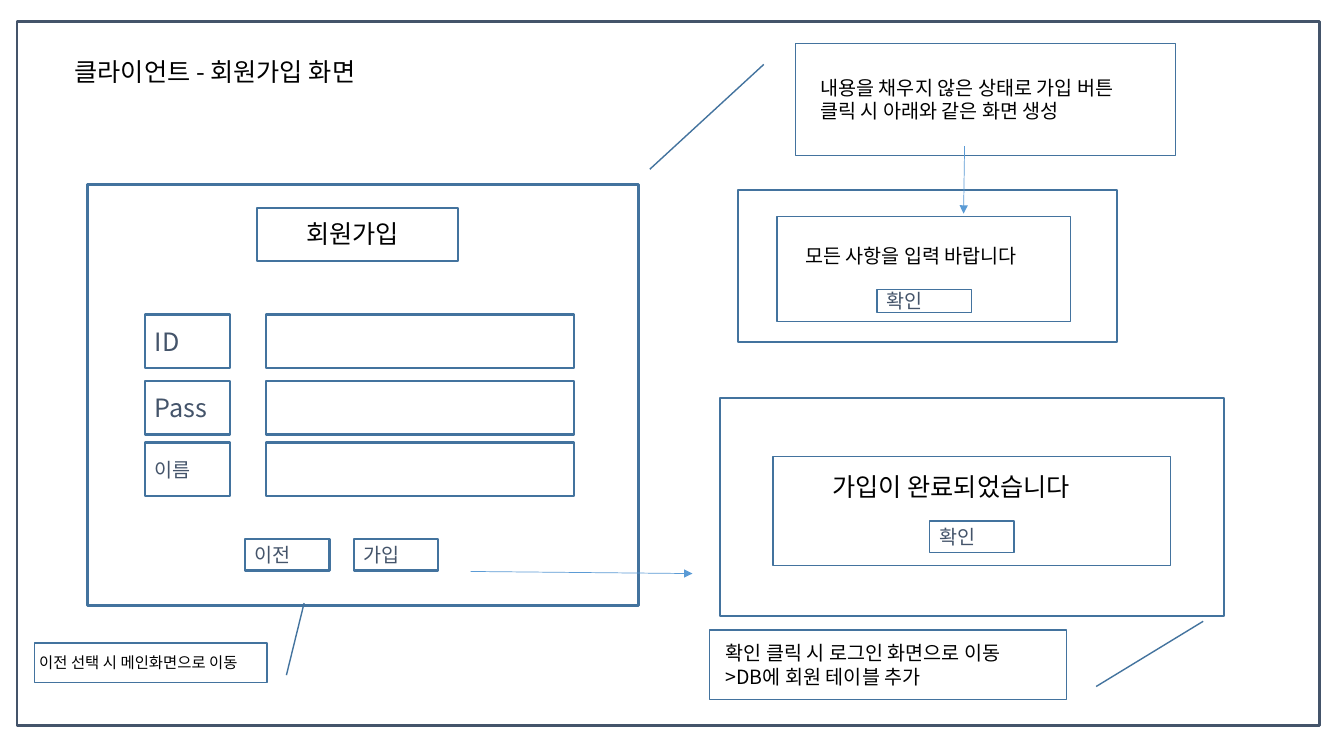
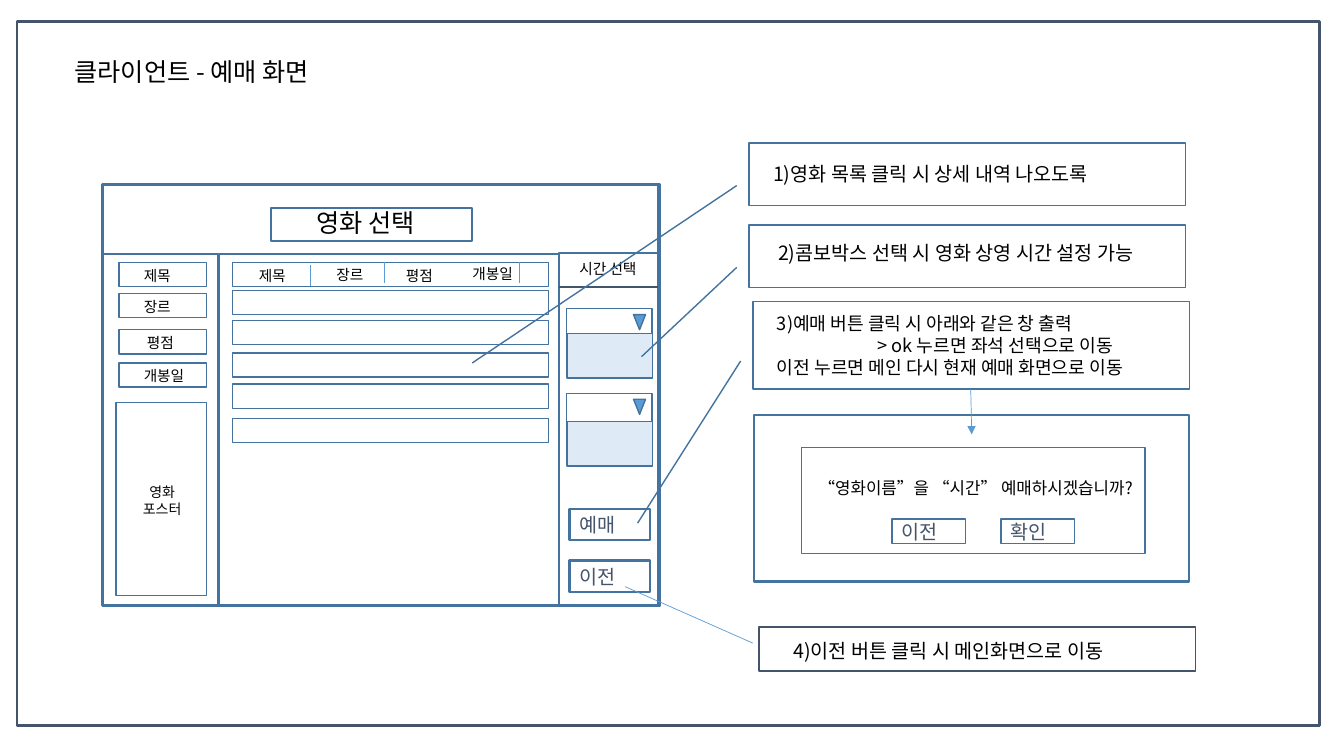
import pptx
import pptx.util
import pptx.dml.color
import pptx.enum.shapes
import pptx.enum.text
import pptx.oxml.ns
from lxml import etree

Pt = pptx.util.Pt
RGB = pptx.dml.color.RGBColor
KIND = pptx.enum.shapes.MSO_SHAPE
ALIGN = pptx.enum.text.PP_ALIGN
FIT = pptx.enum.text.MSO_AUTO_SIZE
qn = pptx.oxml.ns.qn

DARK = RGB(0x44, 0x54, 0x6A)
EDGE = RGB(0x43, 0x73, 0x9E)
BLUE = RGB(0x5B, 0x9B, 0xD5)
PALE = RGB(0xDE, 0xEB, 0xF7)
BLACK = RGB(0, 0, 0)
FONT = "Noto Sans CJK KR"
TITLE = (46, 36.7, 341.3, 28.8)
FRAME = (12.2, 15.1, 930.2, 503.3)


def place(box, left, top, width, height):
    """Move a part from the corner of its box to the slide."""
    return box[0] + left, box[1] + top, width, height


def style(frame, size, color):
    """Format every run of a text frame."""
    for para in frame.paragraphs:
        for run in para.runs:
            run.font.size = Pt(size)
            run.font.color.rgb = color
            run.font.name = FONT
            east = etree.SubElement(run._r.get_or_add_rPr(), qn("a:ea"))
            east.set("typeface", FONT)


def rect(slide, box, weight=1, color=EDGE, fill=None, kind=KIND.RECTANGLE):
    """Draw an outlined shape."""
    shape = slide.shapes.add_shape(kind, *map(Pt, box))
    shape.shadow.inherit = False
    if fill is None:
        shape.fill.background()
    else:
        shape.fill.solid()
        shape.fill.fore_color.rgb = fill
    shape.line.color.rgb = color
    shape.line.width = Pt(weight)
    return shape


def button(slide, box, text, weight=1.5, size=14):
    """Draw a box with a centred label."""
    frame = rect(slide, box, weight).text_frame
    frame.text = text
    style(frame, size, DARK)


def write(slide, box, text, size, wrap=True, align=ALIGN.LEFT):
    """Add a text box."""
    frame = slide.shapes.add_textbox(*map(Pt, box)).text_frame
    frame.word_wrap = wrap
    frame.auto_size = FIT.SHAPE_TO_FIT_TEXT
    frame.text = text
    for para in frame.paragraphs:
        para.alignment = align
    style(frame, size, BLACK)
    return frame


def line(slide, start, end, color=BLUE, weight=0.5, arrow=False):
    """Draw a straight line, with an arrowhead if asked."""
    kind = pptx.enum.shapes.MSO_CONNECTOR.STRAIGHT
    wire = slide.shapes.add_connector(kind, *map(Pt, start + end))
    wire.line.color.rgb = color
    wire.line.width = Pt(weight)
    if arrow:
        head = etree.SubElement(wire.line._get_or_add_ln(), qn("a:tailEnd"))
        head.set("type", "triangle")
    etree.SubElement(wire._element.spPr, qn("a:effectLst"))


def note(slide, box, adjust, part, text, size=14, turn=0):
    """Draw a callout and its text."""
    shape = rect(slide, box, kind=KIND.LINE_CALLOUT_1)
    for index, value in enumerate(adjust):
        shape.adjustments[index] = value
    shape.rotation = turn
    return write(slide, place(box, *part), text, size)


def dialog(slide, box, inner, part, text, size, buttons, wrap=False):
    """Draw a window with a message and its buttons."""
    rect(slide, box, 1.5)
    rect(slide, place(box, *inner))
    write(slide, place(box, *part), text, size, wrap)
    for label, spot in buttons:
        button(slide, place(box, *spot), label, 1)


def start(deck, title):
    """Add a framed slide with its title."""
    slide = deck.slides.add_slide(deck.slide_layouts[5])
    head = slide.shapes.title
    head.left, head.top, head.width, head.height = map(Pt, TITLE)
    frame = head.text_frame
    frame.word_wrap = True
    frame.auto_size = FIT.NONE
    frame.vertical_anchor = pptx.enum.text.MSO_ANCHOR.TOP
    frame.text = title
    frame.paragraphs[0].alignment = ALIGN.LEFT
    style(frame, 18, BLACK)
    rect(slide, FRAME, 2, DARK)
    return slide


def form(slide, box):
    """Draw the sign-up form."""
    rect(slide, box, 2.25)
    rect(slide, place(box, 121, 16.6, 143.3, 38.2), 1.5)
    write(slide, place(box, 149, 20.9, 87.1, 28.8), "회원가입", 18, False)
    rows = (("ID", 92.9, 18), ("Pass", 140.4, 18), ("이름", 184.3, 14))
    for label, top, size in rows:
        button(slide, place(box, 41, top, 60.5, 38.2), label, size=size)
        rect(slide, place(box, 127.4, top, 220.3, 38.2), 1.5)
    for label, left in (("이전", 112.3), ("가입", 190)):
        button(slide, place(box, left, 253.4, 60.5, 22.3), label)


def side(slide, box):
    """Draw the details of the chosen film."""
    rect(slide, box, 1.5)
    tags = (("제목", 5.8, 22.3), ("장르", 28.1, 22.3),
            ("평점", 54, 24.5), ("개봉일", 77.8, 22.3))
    for label, top, left in tags:
        rect(slide, place(box, 11.5, top, 62.6, 17.3))
        write(slide, place(box, left, top - 0.5, 62.6, 20), label, 10.5)
    rect(slide, place(box, 9.4, 105.8, 64.8, 138.2))
    write(slide, place(box, 12.2, 160.6, 60.5, 31), "영화\n포스터", 10,
          align=ALIGN.CENTER)


def films(slide, box):
    """Draw the film list with its column heads."""
    rect(slide, box, 1.5)
    for top in (5.8, 25.9, 47.5, 70.6, 92.9, 117.4):
        rect(slide, place(box, 9.7, top, 226.1, 17.3))
    heads = (("제목", 21.6, 5.8), ("장르", 77, 5),
             ("평점", 126.7, 5.8), ("개봉일", 174.2, 4.3))
    for label, left, top in heads:
        write(slide, place(box, left, top, 62.6, 20), label, 10.5)
    for left, top in ((65.5, 7.9), (118.1, 5.8), (214.6, 5.8)):
        x, y, _, tall = place(box, left, top, 0, 15.1)
        line(slide, (x, y), (x, y + tall))


def combo(slide, box, drop):
    """Draw an open combo box whose list hangs at the given depth."""
    rect(slide, box)
    mark = rect(slide, place(box, 47.9, 4.3, 8.6, 10.8), fill=BLUE,
                kind=KIND.ISOSCELES_TRIANGLE)
    mark.rotation = 180
    rect(slide, place(box, 0.4, drop, 61.2, 31.7), fill=PALE)


def times(slide, box):
    """Draw the time panel with its combo boxes and buttons."""
    rect(slide, box, 1.5)
    x, y, wide, _ = box
    line(slide, (x, y + 24.5), (x + wide, y + 24.5), DARK, 1.5)
    write(slide, place(box, 7.2, 1.4, 72, 20), "시간 선택", 10.5)
    for top, drop in ((39.6, 18), (100.1, 20.2)):
        combo(slide, place(box, 5, top, 61.2, 20.2), drop)
    for label, top in (("예매", 182.9), ("이전", 219.6)):
        button(slide, place(box, 7.2, top, 57.6, 22.3), label)


def picker(slide, box):
    """Draw the film booking window."""
    rect(slide, box, 2.25)
    rect(slide, place(box, 120.2, 16.6, 143.3, 23.8), 1.5)
    write(slide, place(box, 145.4, 13, 93.6, 28.8), "영화 선택", 18, False)
    side(slide, place(box, 0, 49.7, 82.1, 251.3))
    films(slide, place(box, 82.8, 49.7, 243.4, 251.3))
    times(slide, place(box, 326.2, 49, 70.6, 251.3))


def signup(deck):
    """Build the sign-up slide."""
    slide = start(deck, "클라이언트 - 회원가입 화면")
    form(slide, (62.6, 131.8, 393.8, 301))
    dialog(slide, (514.1, 284.4, 360, 155.5), (38.2, 41.8, 283.7, 77.8),
           (73.4, 49, 203, 28.8), "가입이 완료되었습니다", 18,
           [("확인", (149.8, 87.8, 60.5, 22.3))])
    dialog(slide, (527, 135.4, 270.7, 108.7), (28.1, 19.4, 209.5, 74.9),
           (41, 35.3, 185, 24.5), "모든 사항을 입력 바랍니다", 14,
           [("확인", (99.4, 71.3, 67.7, 16.6))])
    slant = (0.188, -0.083, 1.125, -0.383)
    note(slide, (24.5, 459.4, 166.3, 28.1), (0.188, -0.083, 2.02, -0.159),
         (-3.6, 3.6, 183.6, 20.9), "이전 선택 시 메인화면으로 이동", 11, 180)
    note(slide, (506.9, 450, 254.9, 49.7), slant, (4.3, 4.3, 257.8, 40.3),
         "확인 클릭 시 로그인 화면으로 이동\n>DB에 회원 테이블 추가", turn=180)
    note(slide, (568.1, 31, 271.4, 79.9), slant, (10.8, 19.4, 250.6, 41),
         "내용을 채우지 않은 상태로 가입 버튼 클릭 시 아래와 같은 화면 생성")
    line(slide, (336.2, 408.2), (494.6, 409.7), arrow=True)
    line(slide, (689, 104.4), (688.3, 152.6), arrow=True)


def booking(deck):
    """Build the booking slide."""
    slide = start(deck, "클라이언트 - 예매 화면")
    picker(slide, (73.4, 131.8, 397.4, 301))
    note(slide, (535, 102.2, 311.8, 44.6), (0.681, -0.028, 3.523, -0.634),
         (10.1, 10.1, 266.4, 24.5), "1)영화 목록 클릭 시 상세 내역 나오도록")
    note(slide, (535, 160.6, 311.8, 44.6), (0.681, -0.028, 2.111, -0.246),
         (13.7, 7.9, 303.8, 24.5), "2)콤보박스 선택 시 영화 상영 시간 설정 가능")
    steps = note(
        slide, (537.8, 215.3, 311.8, 62.6), (0.681, -0.028, 2.531, -0.264),
        (10.1, 4.3, 325.4, 53.3),
        "3)예매 버튼 클릭 시 아래와 같은 창 출력\n> ok 누르면 좌석 선택으로 이동\n"
        "이전 누르면 메인 다시 현재 예매 화면으로 이동", 13)
    steps.paragraphs[1]._p.get_or_add_pPr().set("marL", str(Pt(72)))
    dialog(slide, (538.6, 296.6, 311, 118.8), (33.8, 23, 245.5, 75.6),
           (38.9, 41, 234.7, 20.9), "“영화이름”을 “시간” 예매하시겠습니까?", 12,
           [("이전", (98.6, 74.2, 52.6, 17.3)),
            ("확인", (176.4, 74.2, 52.6, 17.3))], True)
    last = (542.2, 447.8, 311.8, 31.7)
    rect(slide, last, 1, DARK)
    write(slide, place(last, 17.3, 5, 263.5, 23),
          "4)이전 버튼 클릭 시 메인화면으로 이동", 14)
    line(slide, (693.4, 277.9), (694.1, 310.3), arrow=True)
    line(slide, (446.4, 419), (537.8, 459.4))


deck = pptx.Presentation()
deck.slide_width, deck.slide_height = Pt(960), Pt(540)
signup(deck)
booking(deck)
deck.save("out.pptx")
